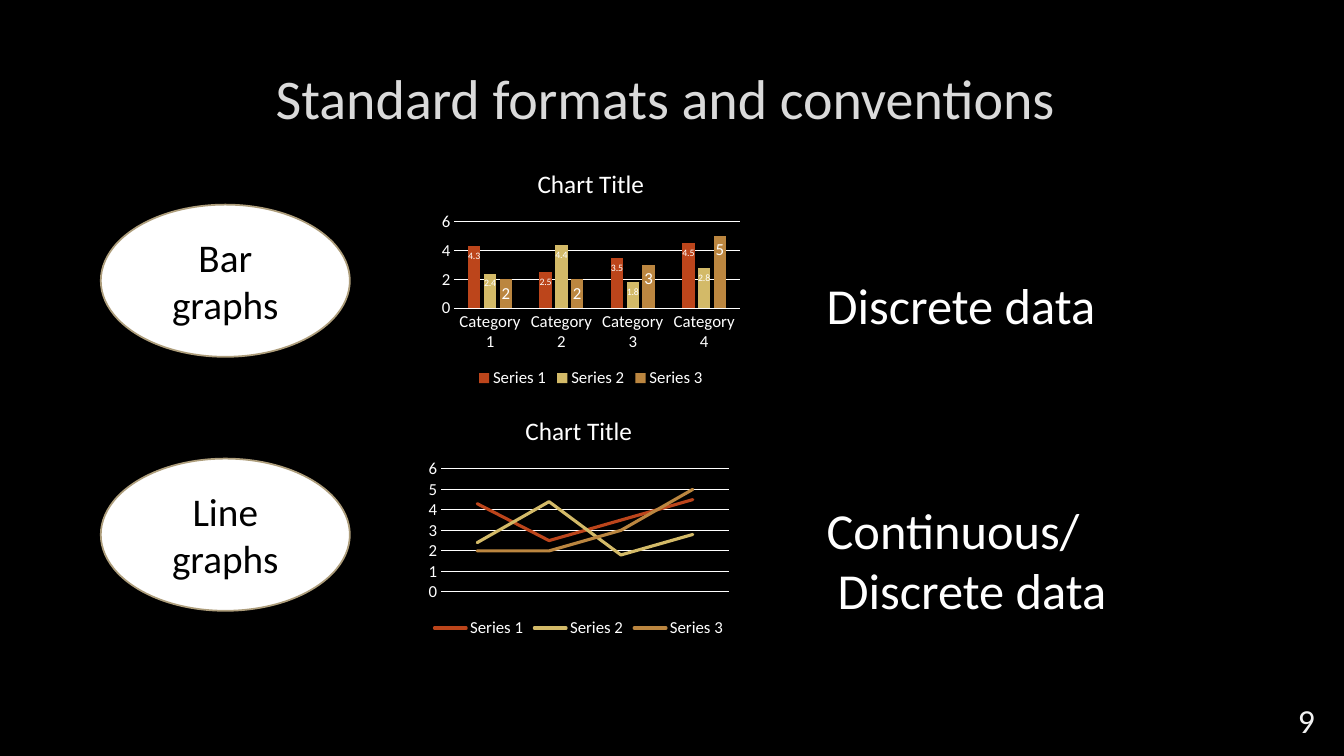
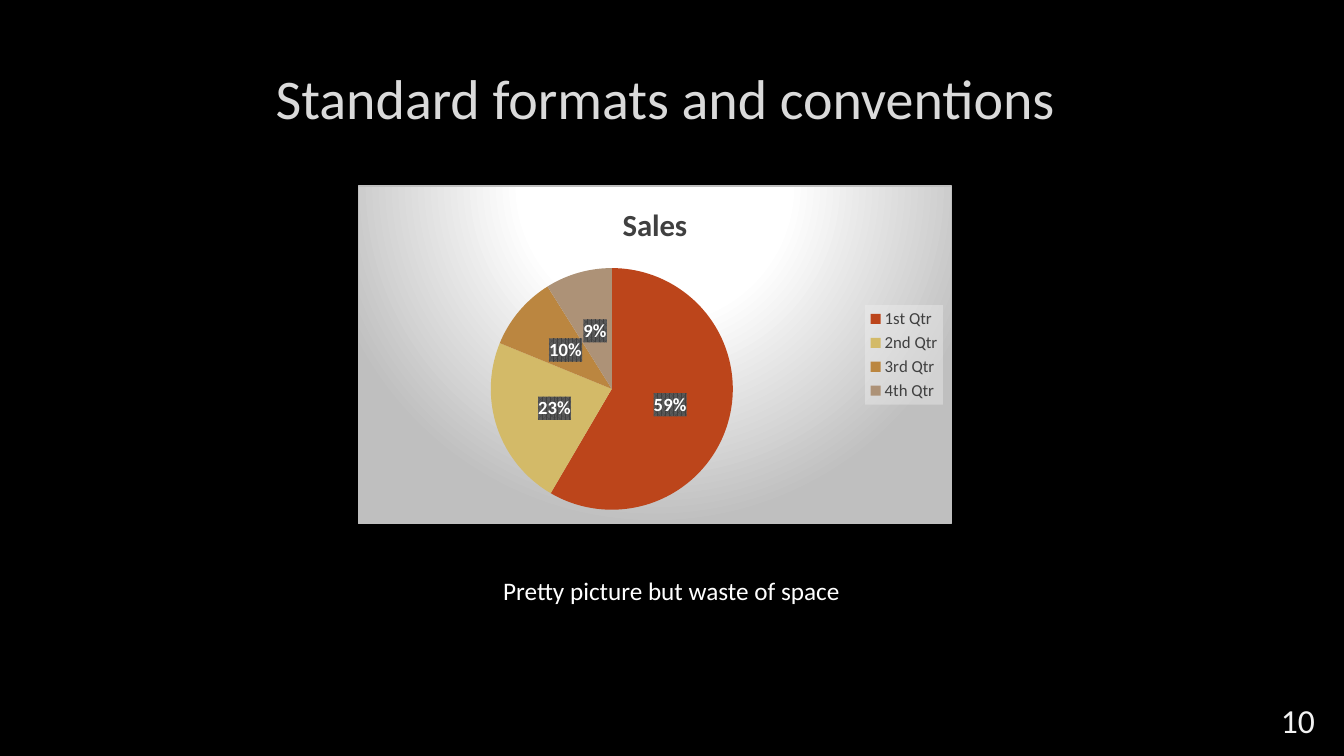
from lxml import etree
from pptx import Presentation
from pptx.chart.data import CategoryChartData
from pptx.dml.color import RGBColor
from pptx.enum.chart import (XL_CHART_TYPE as ChartType, XL_LABEL_POSITION as LabelPos,
                             XL_LEGEND_POSITION as LegendPos, XL_TICK_MARK as TickMark)
from pptx.enum.shapes import MSO_SHAPE as Shape
from pptx.enum.text import MSO_ANCHOR as Anchor, PP_ALIGN as Align
from pptx.oxml import parse_xml
from pptx.oxml.ns import nsdecls, qn
from pptx.util import Inches, Pt

# Shared style
FONT = "Calibri"
COLORS = {
    "background": "000000", "text": "FFFFFF", "title": "DADADA", "number": "F2F2F2",
    "oval": "FFFFFF", "oval_line": "AD9D7B", "oval_text": "000000",
    "dark": "404040", "label_stripe": "595959", "panel": "BFBFBF", "legend": "F2F2F2",
}
SERIES_COLORS = ["BC451B", "D3BA68", "BB8640", "AD9277"]

# Content
TITLE = "Standard formats and conventions "
SERIES = [
    ("Series 1", (4.3, 2.5, 3.5, 4.5)),
    ("Series 2", (2.4, 4.4, 1.8, 2.8)),
    ("Series 3", (2, 2, 3, 5)),
]
BAR_LABEL_SIZES = [7, 7, 12]
GRAPH_ROWS = [  # oval text, oval top, data kinds, their box
    ("Bar graphs", 2.03, ["Discrete data"], (8.1, 2.67, 3.02, 0.71)),
    ("Line graphs", 4.55, ["Continuous/", "Discrete data"], (8.1, 4.9, 3.15, 1.31)),
]
BAR = {"kind": ChartType.COLUMN_CLUSTERED, "at": (4.32, 1.5, 3.08, 2.39), "step": 2,
       "categories": [f"Category {n}" for n in range(1, 5)]}
LINE = {"kind": ChartType.LINE_MARKERS, "at": (4.19, 3.95, 3.1, 2.42), "step": 1,
        "categories": ["1", "2", "3", "4"]}
LINE["kind"] = ChartType.LINE
SALES = {"1st Qtr": 59, "2nd Qtr": 23, "3rd Qtr": 10, "4th Qtr": 9}
CAPTION = "Pretty picture but waste of space"


def rgb(value):
    return RGBColor.from_string(COLORS.get(value, value))


def style_font(font, size, color="text", bold=False):
    font.name, font.size, font.bold = FONT, Pt(size), bold
    font.color.rgb = rgb(color)


def write(shape, lines, size, color="text", align=Align.LEFT, anchor=Anchor.TOP, wrap=True):
    frame = shape.text_frame
    frame.text = "\n".join(lines)
    frame.word_wrap, frame.vertical_anchor = wrap, anchor
    for para in frame.paragraphs:
        para.alignment = align
        for span in para.runs:
            style_font(span.font, size, color)
    return frame


def add_text(page, at, lines, size, **options):
    box = page.shapes.add_textbox(*map(Inches, at))
    return write(box, lines, size, **options)


def add_page(deck, number):
    page = deck.slides.add_slide(deck.slide_layouts[6])
    add_text(page, (1, 0.43, 11.32, 1.06), [TITLE], 40, color="title",
             align=Align.CENTER, anchor=Anchor.MIDDLE)
    add_text(page, (12.32, 6.94, 0.82, 0.4), [str(number)], 24, color="number",
             align=Align.RIGHT, anchor=Anchor.MIDDLE)
    return page


def add_chart(page, kind, at, categories, series, title, title_font, legend_pos, legend_color):
    data = CategoryChartData()
    data.categories = categories
    for name, values in series:
        data.add_series(name, values)
    chart = page.shapes.add_chart(kind, *map(Inches, at), data).chart
    style_font(chart.font, 10)
    chart.has_title = True
    chart.chart_title.text_frame.text = title
    style_font(chart.chart_title.text_frame.paragraphs[0].runs[0].font, *title_font)
    chart.has_legend = True
    chart.legend.position = legend_pos
    chart.legend.include_in_layout = False
    style_font(chart.legend.font, 12, legend_color)
    return chart


def add_axis_chart(page, kind, at, step, categories):
    chart = add_chart(page, kind, at, categories, SERIES, "Chart Title", (18,),
                      LegendPos.BOTTOM, "text")
    values = chart.value_axis
    values.minimum_scale, values.maximum_scale, values.major_unit = 0, 6, step
    values.format.line.fill.background()
    grid = values.major_gridlines.format.line
    for axis in (chart.category_axis, values):
        axis.major_tick_mark = axis.minor_tick_mark = TickMark.NONE
        style_font(axis.tick_labels.font, 12)
    for line in (grid, chart.category_axis.format.line):
        line.color.rgb, line.width = rgb("text"), Pt(0.75)
    return chart


def add_labels(series, size, position, bold=False):
    labels = series.data_labels
    labels.show_value = True
    labels.position = position
    style_font(labels.font, size, bold=bold)
    return labels


def color_xml(name, alpha=100):
    return f'<a:srgbClr val="{COLORS[name]}"><a:alpha val="{alpha * 1000}"/></a:srgbClr>'


def fill_behind_text(element, fill):
    """Give a chart part a fill; it belongs just before the part's text style."""
    area = parse_xml(f'<c:spPr {nsdecls("c", "a")}>{fill}</c:spPr>')
    element.find(qn("c:txPr")).addprevious(area)


def build_graph_page(deck):
    page = add_page(deck, 9)
    for name, top, kinds, kinds_at in GRAPH_ROWS:
        oval = page.shapes.add_shape(Shape.OVAL, *map(Inches, (1, top, 2.47, 1.51)))
        oval.shadow.inherit = False
        oval.fill.solid()
        oval.fill.fore_color.rgb = rgb("oval")
        oval.line.color.rgb, oval.line.width = rgb("oval_line"), Pt(1.25)
        write(oval, [name], 28, color="oval_text", align=Align.CENTER, anchor=Anchor.MIDDLE)
        frame = add_text(page, kinds_at, kinds, 36, wrap=False)
        for para in frame.paragraphs[1:]:
            para._p.get_or_add_pPr().set("marL", str(Inches(0.11)))

    # Bar chart
    bars = add_axis_chart(page, **BAR).plots[0]
    bars.gap_width, bars.overlap, bars.vary_by_categories = 219, -27, False
    for series, color, size in zip(bars.series, SERIES_COLORS, BAR_LABEL_SIZES):
        series.format.fill.solid()
        series.format.fill.fore_color.rgb = rgb(color)
        add_labels(series, size, LabelPos.INSIDE_END)

    # Line chart
    chart = add_axis_chart(page, **LINE)
    chart.category_axis.visible = False
    chart.plots[0].vary_by_categories = False
    for series, color in zip(chart.plots[0].series, SERIES_COLORS):
        series.smooth = False
        series.format.line.color.rgb, series.format.line.width = rgb(color), Pt(2.25)
        series.format.line._ln.set("cap", "rnd")


def build_pie_page(deck):
    page = add_page(deck, 10)
    chart = add_chart(page, ChartType.PIE, (3.55, 1.84, 5.89, 3.36), list(SALES),
                      [("Sales", list(SALES.values()))], "Sales", (22, "dark", True),
                      LegendPos.RIGHT, "dark")
    chart.plots[0].vary_by_categories = True
    pie = chart.plots[0].series[0]
    for index, color in enumerate(SERIES_COLORS):
        fill = pie.points[index].format.fill
        fill.solid()
        fill.fore_color.rgb = rgb(color)
    labels = add_labels(pie, 13.3, LabelPos.CENTER, bold=True)
    labels.number_format, labels.number_format_is_linked = '0"%"', False

    # Chart, legend and label backgrounds
    stops = "".join(f'<a:gs pos="{at * 1000}">{color_xml(name)}</a:gs>'
                    for at, name in ((0, "text"), (39, "text"), (100, "panel")))
    fill_behind_text(chart._chartSpace, (
        f'<a:gradFill><a:gsLst>{stops}</a:gsLst><a:path path="circle">'
        '<a:fillToRect l="50000" t="-80000" r="50000" b="180000"/></a:path></a:gradFill>'
        f'<a:ln w="{Pt(0.75)}"><a:solidFill>{color_xml("panel")}</a:solidFill></a:ln>'))
    fill_behind_text(chart.legend._element,
                     f'<a:solidFill>{color_xml("legend", 39)}</a:solidFill>')
    fill_behind_text(labels._element, (
        f'<a:pattFill prst="pct75"><a:fgClr>{color_xml("dark")}</a:fgClr>'
        f'<a:bgClr>{color_xml("label_stripe")}</a:bgClr></a:pattFill>'))

    add_text(page, (4.13, 5.66, 5.06, 0.4), [CAPTION], 18, align=Align.CENTER)


def main():
    deck = Presentation()
    deck.slide_width, deck.slide_height = Inches(13.33), Inches(7.5)
    backdrop = deck.slide_master.background.fill
    backdrop.solid()
    backdrop.fore_color.rgb = rgb("background")
    build_graph_page(deck)
    build_pie_page(deck)
    deck.save("out.pptx")


if __name__ == "__main__":
    main()
